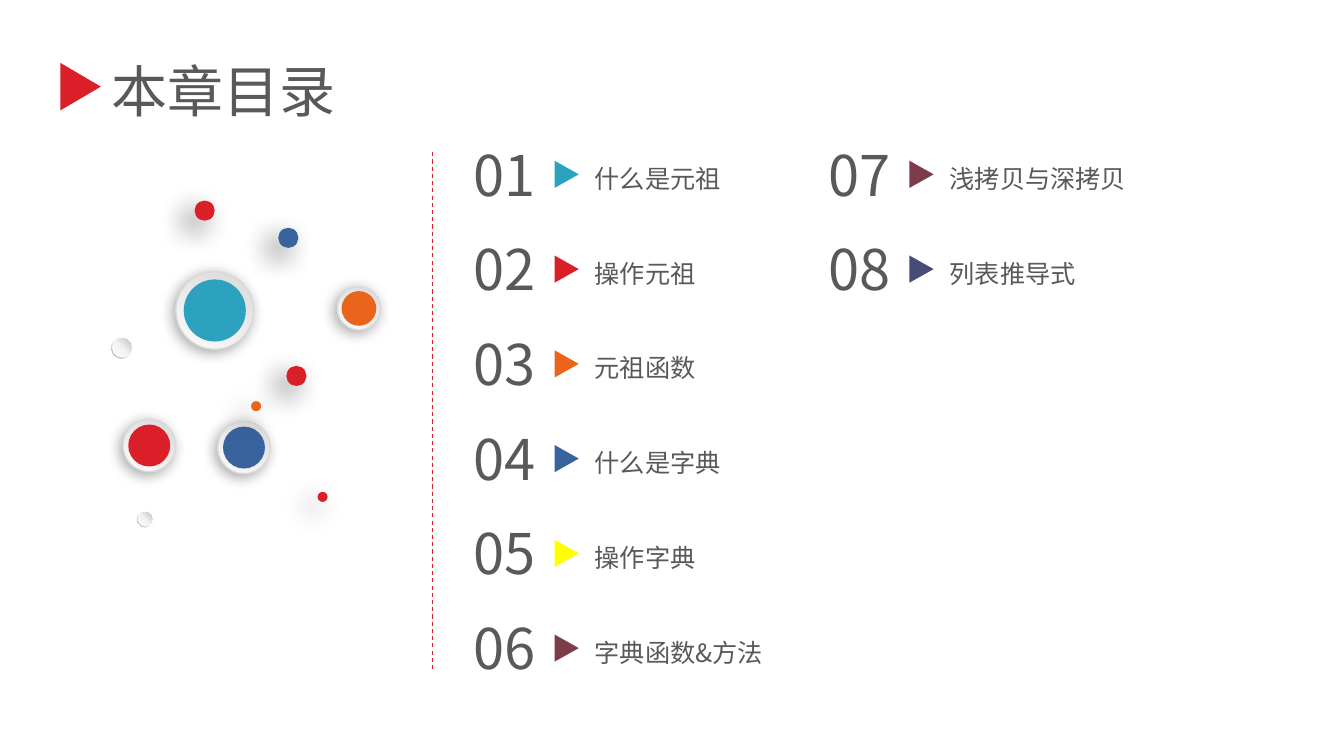
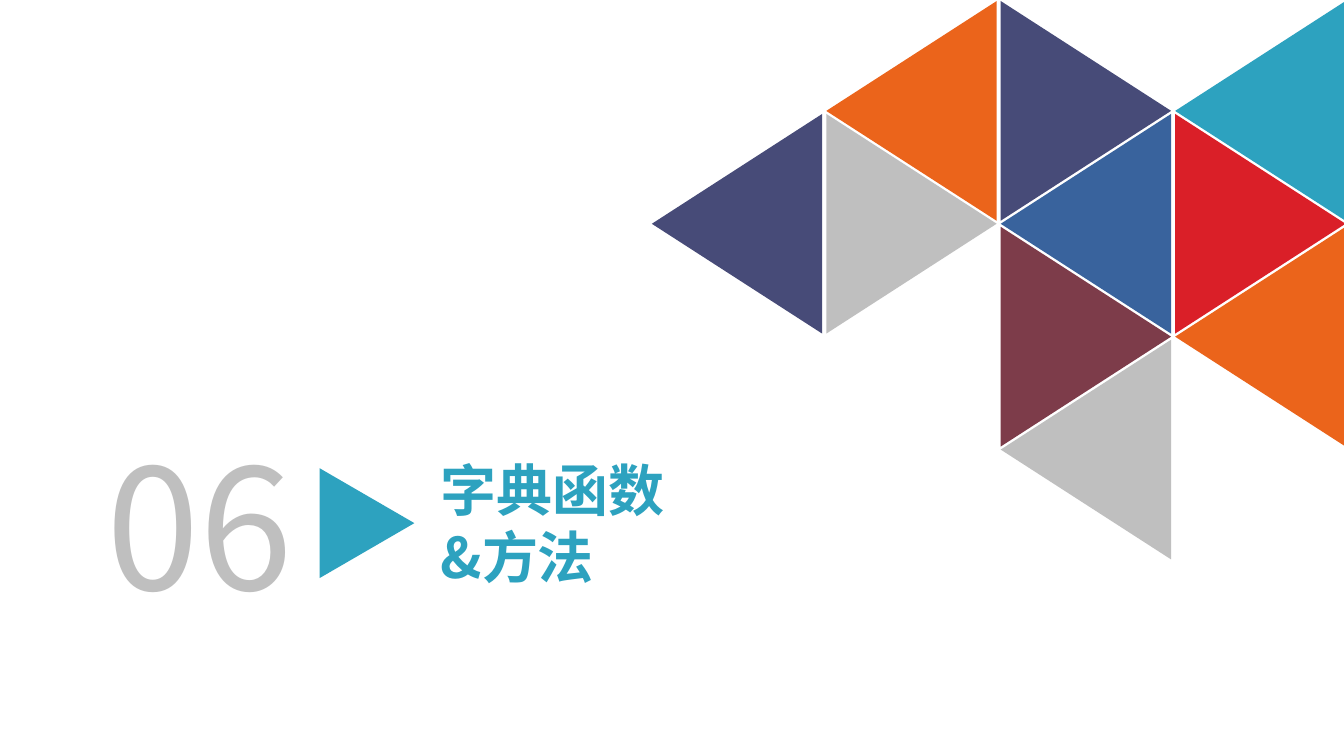
from dataclasses import dataclass

import pptx
import pptx.dml.color
import pptx.enum.dml
import pptx.enum.shapes
import pptx.enum.text
import pptx.oxml
import pptx.oxml.ns
import pptx.util

Inches = pptx.util.Inches
Pt = pptx.util.Pt
SHAPE = pptx.enum.shapes.MSO_SHAPE
ALIGN = pptx.enum.text.PP_ALIGN
NAMESPACE = pptx.oxml.ns.nsdecls("a")
TITLE_ONLY = 5


@dataclass(frozen=True)
class Theme:
    font: str = "Noto Sans CJK SC"
    ink: str = "595959"
    teal: str = "2DA2BF"
    red: str = "DA1F28"
    orange: str = "EB641B"
    blue: str = "39639D"
    indigo: str = "474B78"
    plum: str = "7D3C4A"
    yellow: str = "FFFF00"
    silver: str = "BFBFBF"
    rim: str = "D9D9D9"
    item_size: int = 18
    title_size: int = 40
    chapter_size: int = 120
    # Gradients: stops as (percent, colour), then clockwise angle
    ring_fill: tuple = (((0, "D9D9D9"), (100, "FCFCFC")), 120)
    edge_fill: tuple = (((0, "FFFFFF"), (55, "F2F2F2"), (100, "A6A6A6")), 135)
    pearl_fill: tuple = (((0, "FFFFFF"), (51, "F2F2F2"), (100, "BFBFBF")), 315)
    # Shadows: opacity percent, blur and distance in points, direction
    ring_shadow: tuple = (34, 10, 3, 136)
    dot_shadow: tuple = (60, 20, 10, 135)


THEME = Theme()


def rgb(colour):
    return pptx.dml.color.RGBColor.from_string(colour)


def write(box, lines, size=THEME.title_size, colour=THEME.ink, bold=False,
          align=ALIGN.LEFT, spacing=None, before=0):
    """Fill a box with one paragraph per line, all in the same format."""
    frame = box.text_frame
    frame.word_wrap = True
    frame.auto_size = pptx.enum.text.MSO_AUTO_SIZE.SHAPE_TO_FIT_TEXT
    frame.vertical_anchor = pptx.enum.text.MSO_ANCHOR.TOP
    for index, line in enumerate(lines):
        para = frame.add_paragraph() if index else frame.paragraphs[0]
        para.alignment = align
        para.space_before = Pt(before)
        if spacing:
            para.line_spacing = spacing
        span = para.add_run()
        span.text = line
        span.font.size = Pt(size)
        span.font.bold = bold
        span.font.color.rgb = rgb(colour)
        span.font.name = THEME.font
        span.font._element.append(pptx.oxml.parse_xml(
            f'<a:ea {NAMESPACE} typeface="{THEME.font}"/>'))


def paint_gradient(shape, gradient):
    stops, angle = gradient
    shape.fill.gradient()
    shape.fill.gradient_angle = (360 - angle) % 360
    stop_list = next(shape._element.iter(pptx.oxml.ns.qn("a:gsLst")))
    for stop in list(stop_list):
        stop_list.remove(stop)
    for position, colour in stops:
        stop_list.append(pptx.oxml.parse_xml(
            f'<a:gs {NAMESPACE} pos="{position * 1000}">'
            f'<a:srgbClr val="{colour}"/></a:gs>'))


def cast_shadow(shape, shadow):
    opacity, blur, distance, direction = shadow
    effects = shape._element.spPr.find(pptx.oxml.ns.qn("a:effectLst"))
    effects.append(pptx.oxml.parse_xml(
        f'<a:outerShdw {NAMESPACE} blurRad="{Pt(blur)}" dist="{Pt(distance)}" '
        f'dir="{direction * 60000}" algn="ctr" rotWithShape="0">'
        f'<a:srgbClr val="000000"><a:alpha val="{opacity * 1000}"/>'
        f'</a:srgbClr></a:outerShdw>'))


class Slides:
    """Holds the deck and the slide being drawn."""

    def __init__(self):
        self.deck = pptx.Presentation()
        self.deck.slide_width = Inches(13.33)
        self.deck.slide_height = Inches(7.5)
        self.page = None

    def new_page(self):
        self.page = self.deck.slides.add_slide(self.deck.slide_layouts[TITLE_ONLY])

    def title(self, left, top, width, height, lines, **style):
        box = self.page.shapes.title
        box.left, box.top = Inches(left), Inches(top)
        box.width, box.height = Inches(width), Inches(height)
        write(box, lines, **style)

    def text(self, left, top, width, height, line, **style):
        box = self.page.shapes.add_textbox(
            Inches(left), Inches(top), Inches(width), Inches(height))
        write(box, [line], **style)

    def shape(self, kind, x, y, width, height, fill, line=None, shadow=None):
        """Draw a shape centred on x, y; fill is a colour or a gradient."""
        shape = self.page.shapes.add_shape(
            kind, Inches(x - width / 2), Inches(y - height / 2),
            Inches(width), Inches(height))
        shape.shadow.inherit = False
        if isinstance(fill, str):
            shape.fill.solid()
            shape.fill.fore_color.rgb = rgb(fill)
        else:
            paint_gradient(shape, fill)
        if line:
            shape.line.color.rgb = rgb(line)
            shape.line.width = Pt(1)
        else:
            shape.line.fill.background()
        if shadow:
            cast_shadow(shape, shadow)
        return shape

    def triangle(self, x, y, base, depth, colour, points_left=False):
        shape = self.shape(SHAPE.ISOSCELES_TRIANGLE, x, y, base, depth, colour)
        shape.rotation = 270 if points_left else 90

    def circle(self, x, y, size, fill, **style):
        self.shape(SHAPE.OVAL, x, y, size, size, fill, **style)

    def button(self, x, y, size, colour):
        self.circle(x, y, size, THEME.ring_fill, line=THEME.rim,
                    shadow=THEME.ring_shadow)
        self.circle(x, y, size * 0.8, colour)

    def pearl(self, x, y, size):
        edge = self.shape(SHAPE.DONUT, x, y, size, size, THEME.edge_fill)
        edge.adjustments[0] = 0.05
        self.circle(x, y, size - 0.02, THEME.pearl_fill)

    def dashed_line(self, x, top, bottom):
        line = self.page.shapes.add_connector(
            pptx.enum.shapes.MSO_CONNECTOR.STRAIGHT,
            Inches(x), Inches(top), Inches(x), Inches(bottom))
        line.line.color.rgb = rgb(THEME.red)
        line.line.width = Pt(0.75)
        line.line.dash_style = pptx.enum.dml.MSO_LINE.DASH
        line._element.spPr.append(
            pptx.oxml.parse_xml(f"<a:effectLst {NAMESPACE}/>"))

    def contents_item(self, left, top, number, label, colour):
        self.triangle(left + 1.02, top + 0.39, 0.27, 0.24, colour)
        self.text(left, top, 0.9, 0.77, f"{number:02}")
        self.text(left + 1.2, top + 0.08, 4.51, 0.5, label,
                  size=THEME.item_size, spacing=1.5, before=6)


def draw_contents(slides):
    slides.new_page()
    slides.title(1.01, 0.51, 3.26, 0.77, ["本章目录"])
    slides.triangle(0.8, 0.86, 0.47, 0.4, THEME.red)

    for x, y, size, colour in [
        (2.13, 3.08, 0.77, THEME.teal),
        (1.48, 4.42, 0.52, THEME.red),
        (2.42, 4.44, 0.52, THEME.blue),
        (3.56, 3.06, 0.43, THEME.orange),
    ]:
        slides.button(x, y, size, colour)
    for x, y, size, colour in [
        (2.94, 3.73, 0.2, THEME.red),
        (2.86, 2.36, 0.2, THEME.blue),
        (3.2, 4.93, 0.1, THEME.red),
        (2.03, 2.09, 0.2, THEME.red),
        (2.54, 4.03, 0.1, THEME.orange),
    ]:
        slides.circle(x, y, size, colour, shadow=THEME.dot_shadow)
    slides.pearl(1.44, 5.15, 0.16)
    slides.pearl(1.21, 3.45, 0.21)
    slides.dashed_line(4.29, 1.51, 6.66)

    items = [
        ("什么是元祖", THEME.teal),
        ("操作元祖", THEME.red),
        ("元祖函数", THEME.orange),
        ("什么是字典", THEME.blue),
        ("操作字典", THEME.yellow),
        ("字典函数&方法", THEME.plum),
        ("浅拷贝与深拷贝", THEME.plum),
        ("列表推导式", THEME.indigo),
    ]
    rows_per_column = 6
    for index, (label, colour) in enumerate(items):
        column, row = divmod(index, rows_per_column)
        slides.contents_item(4.6 + 3.52 * column, 1.34 + 0.94 * row,
                             index + 1, label, colour)


def draw_chapter(slides):
    slides.new_page()
    mosaic = [
        (None, THEME.orange, THEME.indigo, THEME.teal),
        (THEME.indigo, THEME.silver, THEME.blue, THEME.red),
        (None, None, THEME.plum, THEME.orange),
        (None, None, THEME.silver, None),
    ]
    for row, colours in enumerate(mosaic):
        for column, colour in enumerate(colours):
            if colour:
                slides.triangle(7.31 + 1.73 * column, 1.1 + 1.12 * row, 2.18, 1.69,
                                colour, points_left=(row + column) % 2 == 1)

    slides.title(4.27, 4.47, 2.53, 1.45, ["字典函数", "&方法"],
                 colour=THEME.teal, bold=True)
    slides.text(0.48, 4.14, 3, 2.12, "06", size=THEME.chapter_size,
                colour=THEME.silver, align=ALIGN.CENTER)
    slides.triangle(3.64, 5.19, 1.09, 0.94, THEME.teal)


def main():
    slides = Slides()
    draw_contents(slides)
    draw_chapter(slides)
    slides.deck.save("out.pptx")


if __name__ == "__main__":
    main()
